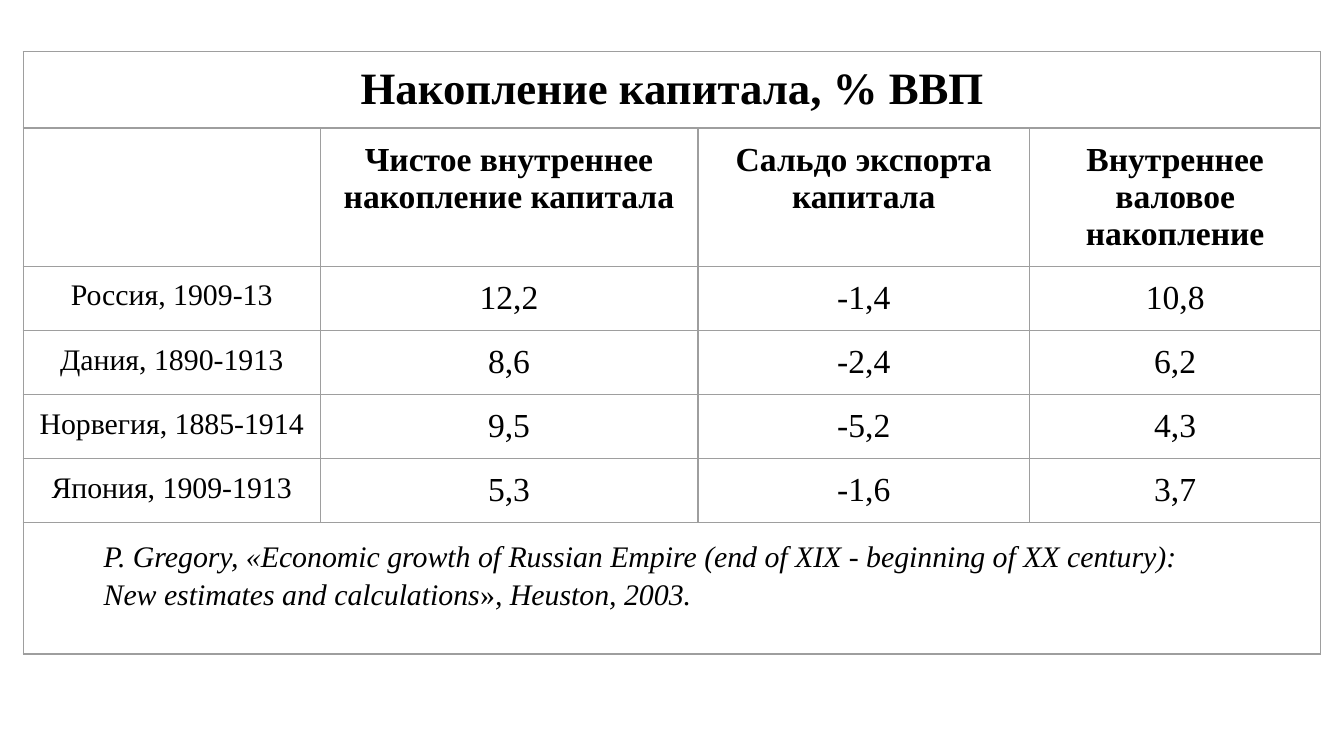
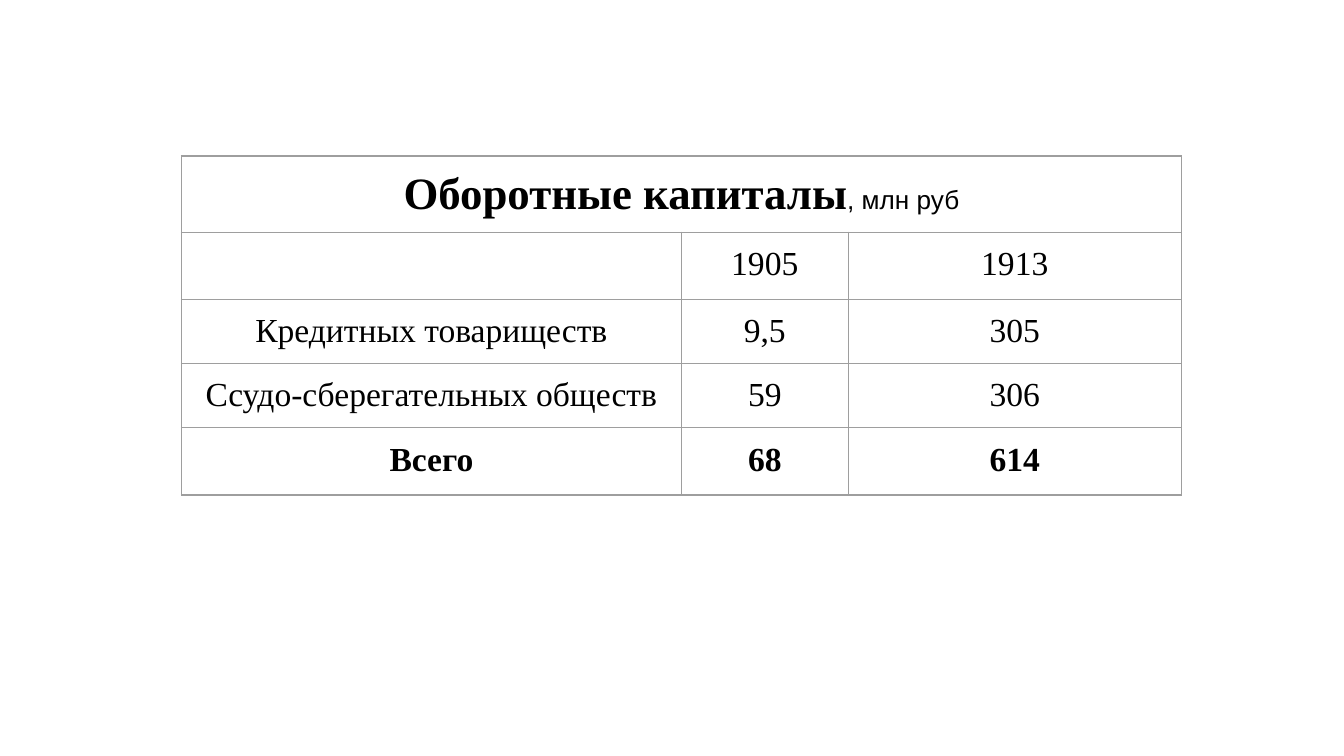
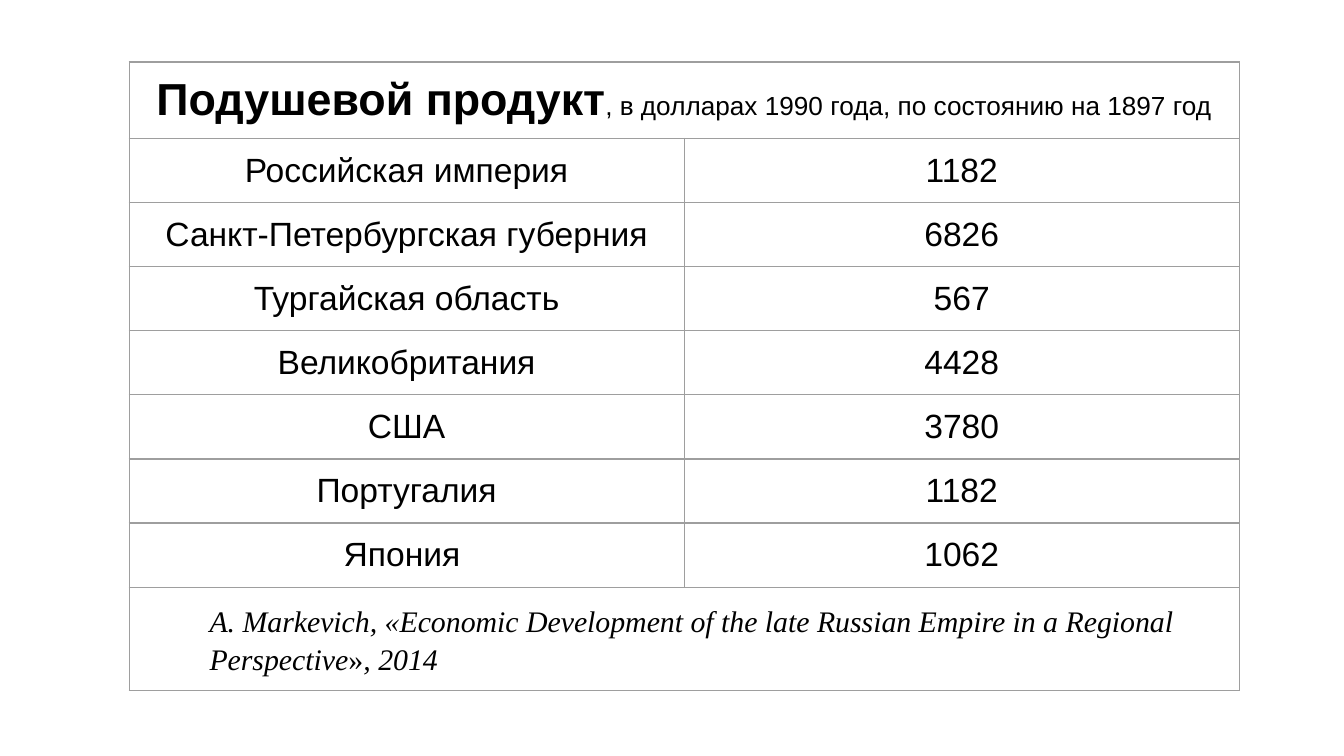
import pptx
import pptx.util
import pptx.dml.color
import pptx.enum.text
import pptx.oxml
import pptx.oxml.ns

Cm = pptx.util.Cm
Pt = pptx.util.Pt
ALIGN = pptx.enum.text.PP_ALIGN

SERIF = "Times New Roman"
SANS = "Arial"
INK = "000000"
RULE = "9E9E9E"
RULE_WIDTH = Pt(0.75)
INSET = Cm(0.25)
TITLE_HEIGHT = 1.44
ROW_HEIGHT = 1.21


def colour(value):
    return pptx.dml.color.RGBColor.from_string(value)


def add_span(para, text, size, font, bold=False, italic=False):
    span = para.add_run()
    span.text = text
    span.font.size = Pt(size)
    span.font.name = font
    span.font.bold = bold
    span.font.italic = italic
    span.font.color.rgb = colour(INK)


def style_cell(cell):
    cell.margin_left = cell.margin_right = INSET
    cell.margin_top = cell.margin_bottom = INSET
    properties = cell._tc.get_or_add_tcPr()
    for side in ("lnL", "lnR", "lnT", "lnB"):
        properties.append(pptx.oxml.parse_xml(
            f'<a:{side} {pptx.oxml.ns.nsdecls("a")} w="{RULE_WIDTH}">'
            f'<a:solidFill><a:srgbClr val="{RULE}"/></a:solidFill></a:{side}>'))
    cell.fill.background()


def add_grid(page, left, top, widths, heights):
    frame = page.shapes.add_table(len(heights), len(widths), Cm(left), Cm(top),
                                  Cm(sum(widths)), Cm(sum(heights)))
    table = frame.table
    table.first_row = False
    table.horz_banding = False
    for column, width in zip(table.columns, widths):
        column.width = Cm(width)
    for row, height in zip(table.rows, heights):
        row.height = Cm(height)
    for cell in table.iter_cells():
        style_cell(cell)
    return table


def merge_row(table, index):
    cell = table.cell(index, 0)
    cell.merge(table.cell(index, len(table.columns) - 1))
    return cell


def fill_title(table, title, font, unit=""):
    para = merge_row(table, 0).text_frame.paragraphs[0]
    para.alignment = ALIGN.CENTER
    add_span(para, title, 24, font, bold=True)
    if unit:
        add_span(para, unit, 14, SANS)


def fill_rows(table, rows, font, label_size=18, bold_label=""):
    for row_index, row in enumerate(rows, 1):
        for column_index, text in enumerate(row):
            if not text:
                continue
            para = table.cell(row_index, column_index).text_frame.paragraphs[0]
            para.alignment = ALIGN.CENTER
            size = 18 if column_index else label_size
            add_span(para, text, size, font, bold=row[0] == bold_label)


def fill_note(table, lines):
    frame = merge_row(table, len(table.rows) - 1).text_frame
    for index, line in enumerate(lines):
        para = frame.add_paragraph() if index else frame.paragraphs[0]
        properties = para._p.get_or_add_pPr()
        properties.set("marL", str(Cm(1.27)))
        properties.set("indent", "0")
        para.line_spacing = 1.15
        for text in line:
            add_span(para, text, 16, SERIF, italic=text != "»")


def build_capital_formation(page):
    rows = [
        ("", "Чистое внутреннее накопление капитала", "Сальдо экспорта капитала",
         "Внутреннее валовое накопление"),
        ("Россия, 1909-13", "12,2", "-1,4", "10,8"),
        ("Дания, 1890-1913", "8,6", "-2,4", "6,2"),
        ("Норвегия, 1885-1914", "9,5", "-5,2", "4,3"),
        ("Япония, 1909-1913", "5,3", "-1,6", "3,7"),
    ]
    heights = [TITLE_HEIGHT, 2.61] + [ROW_HEIGHT] * 4 + [2.49]
    table = add_grid(page, 0.44, 0.98, [5.61, 7.14, 6.27, 5.5], heights)
    fill_title(table, "Накопление капитала, % ВВП", SERIF)
    fill_rows(table, rows, SERIF, label_size=16)
    fill_note(table, [
        ["P. Gregory, «Economic growth of Russian Empire "
         "(end of XIX - beginning of XX century):"],
        ["New estimates and calculations", "»", ", Heuston, 2003."],
    ])


def build_working_capital(page):
    rows = [
        ("", "1905", "1913"),
        ("Кредитных товариществ", "9,5", "305"),
        ("Ссудо-сберегательных обществ", "59", "306"),
        ("Всего", "68", "614"),
    ]
    heights = [TITLE_HEIGHT] + [ROW_HEIGHT] * 3 + [1.27]
    table = add_grid(page, 3.43, 2.95, [9.45, 3.15, 6.3], heights)
    fill_title(table, "Оборотные капиталы", SERIF, ", млн руб")
    fill_rows(table, rows, SERIF, bold_label="Всего")


def build_output_per_head(page):
    rows = [
        ("Российская империя", "1182"),
        ("Санкт-Петербургская губерния", "6826"),
        ("Тургайская область", "567"),
        ("Великобритания", "4428"),
        ("США", "3780"),
        ("Португалия", "1182"),
        ("Япония ", "1062"),
    ]
    heights = [TITLE_HEIGHT] + [ROW_HEIGHT] * len(rows) + [1.96]
    table = add_grid(page, 2.44, 1.17, [10.49] * 2, heights)
    fill_title(table, "Подушевой продукт", SANS,
               ", в долларах 1990 года, по состоянию на 1897 год")
    fill_rows(table, rows, SANS)
    fill_note(table, [
        ["A. Markevich, «Economic Development of the late Russian Empire "
         "in a Regional Perspective", "»", ", 2014"],
    ])


def main():
    deck = pptx.Presentation()
    deck.slide_width = Cm(25.4)
    deck.slide_height = Cm(14.29)
    for build in (build_capital_formation, build_working_capital, build_output_per_head):
        build(deck.slides.add_slide(deck.slide_layouts[6]))
    deck.save("out.pptx")


if __name__ == "__main__":
    main()
